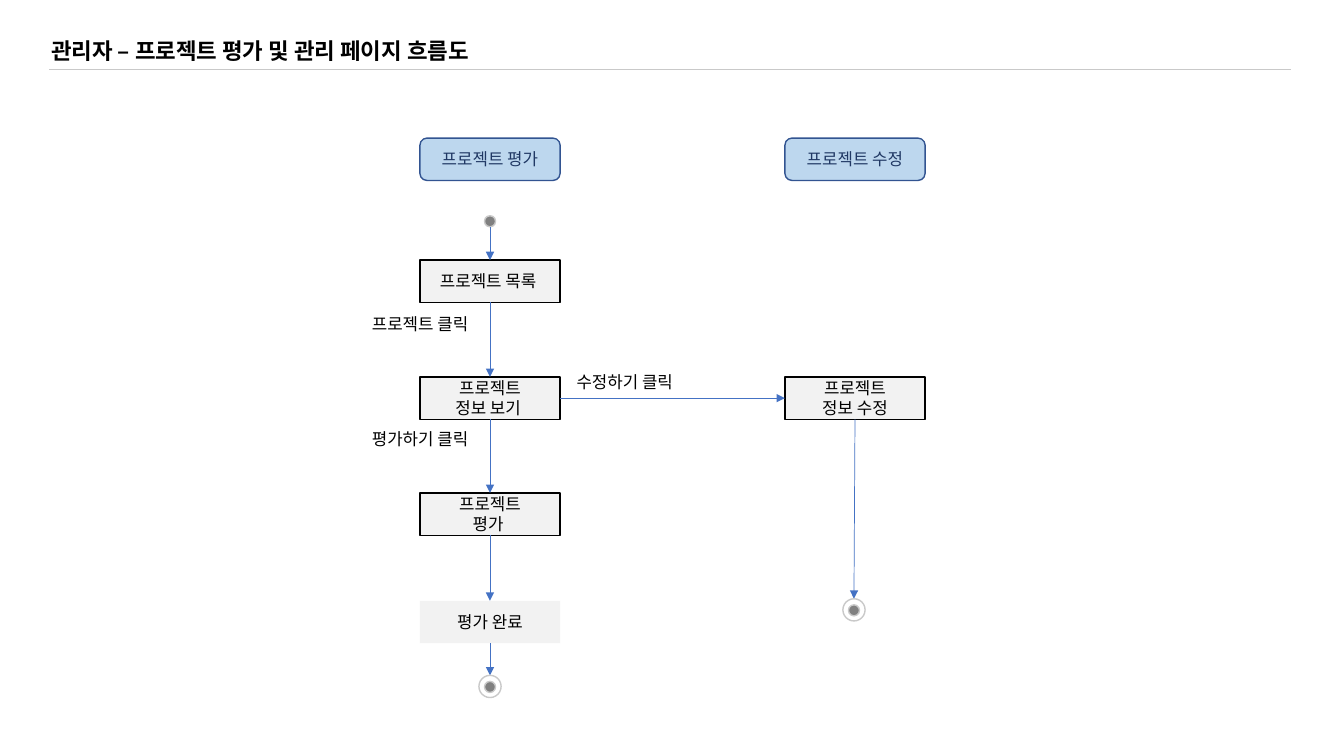
from lxml.etree import SubElement as Sub
from pptx import Presentation
from pptx.dml.color import RGBColor as Rgb
from pptx.enum.shapes import MSO_CONNECTOR as Conn, MSO_SHAPE as Kind
from pptx.enum.text import MSO_ANCHOR as Anchor, MSO_AUTO_SIZE as Fit, PP_ALIGN as Align
from pptx.oxml.ns import qn
from pptx.util import Inches, Pt

FONT = "Noto Sans CJK KR"
HUES = {
    "ink": "000000", "rule": "C9C9C9", "dot": "808080", "flow": "4472C4",
    "step": "F2F2F2", "head": "BDD7EE", "edge": "325491", "navy": "203864",
}
WIDE, HIGH = 1.39, 0.42
LEFT, RIGHT = 4.86, 8.48  # centre lines of the two columns


def hue(name):
    """Return the named colour."""
    return Rgb.from_string(HUES[name])


def write(frame, text, size=12, color="ink", bold=False, align=Align.LEFT):
    """Put text into a frame, one paragraph for each line."""
    for i, line in enumerate(text.split("\n")):
        para = frame.paragraphs[0] if i == 0 else frame.add_paragraph()
        para.alignment = align
        run = para.add_run()
        run.text = line
        font = run.font
        font.size, font.bold, font.name = Pt(size), bold, FONT
        font.color.rgb = hue(color)
        Sub(run._r.get_or_add_rPr(), qn("a:ea"), typeface=FONT)


def label(slide, text, x, y, w, h=0.3, **form):
    """Add free text that does not wrap."""
    frame = slide.shapes.add_textbox(*map(Inches, (x, y, w, h))).text_frame
    frame.word_wrap = False
    frame.auto_size = Fit.SHAPE_TO_FIT_TEXT
    write(frame, text, **form)


def shape(shapes, kind, mid, top, w, h, fill=None, edge=None):
    """Add a preset shape centred on mid."""
    item = shapes.add_shape(kind, *map(Inches, (mid - w / 2, top, w, h)))
    item.shadow.inherit = False
    if fill:
        item.fill.solid()
        item.fill.fore_color.rgb = hue(fill)
    else:
        item.fill.background()
    if edge:
        item.line.color.rgb = hue(edge)
        item.line.width = Pt(1)
    else:
        item.line.fill.background()
    return item


def box(slide, text, mid, top, kind=Kind.RECTANGLE, fill="step", edge="ink", color="ink"):
    """Add a box with centred text."""
    item = shape(slide.shapes, kind, mid, top, WIDE, HIGH, fill, edge)
    frame = item.text_frame
    frame.word_wrap = True
    frame.vertical_anchor = Anchor.MIDDLE
    write(frame, text, color=color, align=Align.CENTER)


def dot(shapes, mid, top):
    """Add a small filled dot."""
    shape(shapes, Kind.OVAL, mid, top, 0.11, 0.11, "dot", "rule")


def finish(slide, mid, top):
    """Add an end mark: a dot grouped with its ring."""
    group = slide.shapes.add_group_shape()
    dot(group.shapes, mid, top + 0.06)
    shape(group.shapes, Kind.OVAL, mid, top, 0.22, 0.22, edge="rule")


def line(slide, x1, y1, x2, y2, color="flow", arrow=True):
    """Add a thin line, with an arrowhead at its end if wanted."""
    item = slide.shapes.add_connector(Conn.STRAIGHT, *map(Inches, (x1, y1, x2, y2)))
    item.line.color.rgb = hue(color)
    item.line.width = Pt(0.5)
    if arrow:
        Sub(item.line._get_or_add_ln(), qn("a:tailEnd"), type="triangle")
    Sub(item._element.spPr, qn("a:effectLst"))


def main():
    """Build the flow chart slide."""
    deck = Presentation()
    deck.slide_width, deck.slide_height = Inches(13.33), Inches(7.5)
    slide = deck.slides.add_slide(deck.slide_layouts[6])

    line(slide, 0.49, 0.69, 12.8, 0.69, color="rule", arrow=False)
    label(slide, "관리자 – 프로젝트 평가 및 관리 페이지 흐름도", 0.41, 0.32, 4.91, 0.37,
          size=16, bold=True)

    for text, mid in (("프로젝트 평가", LEFT), ("프로젝트 수정", RIGHT)):
        box(slide, text, mid, 1.37, Kind.ROUNDED_RECTANGLE, "head", "edge", "navy")

    steps = (
        ("프로젝트 목록 ", 2.58, "ink"),
        ("프로젝트\n정보 보기 ", 3.74, "ink"),
        ("프로젝트\n평가 ", 4.89, "ink"),
        ("평가 완료", 5.96, None),
    )
    dot(slide.shapes, LEFT, 2.14)
    low = 2.25
    for text, top, edge in steps:
        box(slide, text, LEFT, top, edge=edge)
        line(slide, LEFT, low, LEFT, top)
        low = top + HIGH
    line(slide, LEFT, low, LEFT, 6.7)
    finish(slide, LEFT, 6.7)

    box(slide, "프로젝트\n정보 수정", RIGHT, 3.74)
    line(slide, LEFT + WIDE / 2, 3.95, RIGHT - WIDE / 2, 3.95)
    line(slide, RIGHT, 3.74 + HIGH, RIGHT - 0.01, 5.94)
    finish(slide, RIGHT - 0.01, 5.94)

    for text, x, y in (
        ("프로젝트 클릭", 3.59, 3.06),
        ("평가하기 클릭", 3.59, 4.2),
        ("수정하기 클릭", 5.62, 3.64),
    ):
        label(slide, text, x, y, 1.27)

    deck.save("out.pptx")


main()
